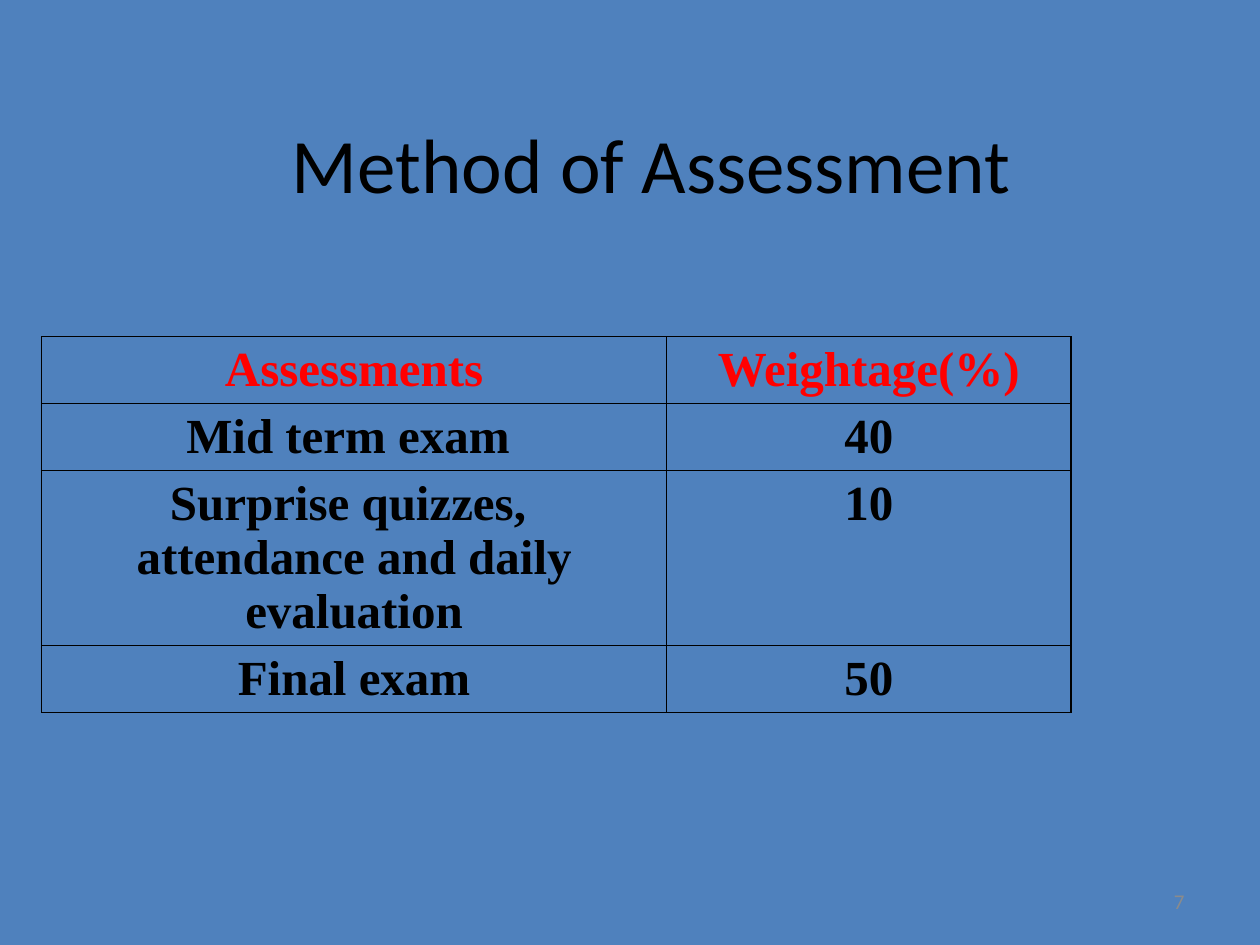
from lxml import etree
from pptx import Presentation
from pptx.dml.color import RGBColor
from pptx.enum.text import MSO_ANCHOR as Anchor, PP_ALIGN as Align
from pptx.oxml.ns import qn
from pptx.util import Inches, Pt

BLUE, BLACK, RED, GREY = "4F81BD", "000000", "FF0000", "8B8B8B"
THIN, THICK = 0.34, 0.75

ASSESSMENTS = [
    ("Assessments", "Weightage(%)"),
    ("Mid term exam ", "40"),
    ("Surprise quizzes, \vattendance and daily evaluation", "10"),
    ("Final exam", "50"),
]
COLUMN_WIDTHS = [4.96, 3.21]
ROW_HEIGHTS = [0.47, 0.47, 0.93, 0.47]


def rgb(value):
    return RGBColor.from_string(value)


def write(frame, text, align, color, **font_format):
    frame.text = text
    paragraph = frame.paragraphs[0]
    paragraph.alignment = align
    for run in paragraph.runs:
        run.font.color.rgb = rgb(color)
        for attribute, value in font_format.items():
            setattr(run.font, attribute, value)


def place(part, left, top, width, height):
    box = dict(left=left, top=top, width=width, height=height)
    for attribute, value in box.items():
        setattr(part, attribute, Inches(value))


def set_borders(cell, widths):
    """Draw black cell borders from a dict of side (L, R, T, B) to points."""
    properties = cell._tc.get_or_add_tcPr()
    for index, (side, width) in enumerate(widths.items()):
        line = etree.Element(qn(f"a:ln{side}"), w=str(int(Pt(width))))
        fill = etree.SubElement(line, qn("a:solidFill"))
        etree.SubElement(fill, qn("a:srgbClr"), val=BLACK)
        properties.insert(index, line)


def add_title(slide, left, top, width, height):
    title = slide.shapes.title
    place(title, left, top, width, height)
    title.text_frame.vertical_anchor = Anchor.MIDDLE
    write(title.text_frame, "Method of Assessment", Align.CENTER, BLACK,
          name="Calibri", size=Pt(44))


def add_assessment_table(slide, left, top):
    rows, columns = len(ROW_HEIGHTS), len(COLUMN_WIDTHS)
    table = slide.shapes.add_table(
        rows, columns, Inches(left), Inches(top),
        Inches(sum(COLUMN_WIDTHS)), Inches(sum(ROW_HEIGHTS))).table
    table.first_row = table.horz_banding = False
    for column, width in zip(table.columns, COLUMN_WIDTHS):
        column.width = Inches(width)
    for row, height in zip(table.rows, ROW_HEIGHTS):
        row.height = Inches(height)

    for r, texts in enumerate(ASSESSMENTS):
        for c, text in enumerate(texts):
            cell = table.cell(r, c)
            cell.fill.background()
            write(cell.text_frame, text, Align.CENTER, BLACK if r else RED,
                  name="Times New Roman", size=Pt(28), bold=True)
            set_borders(cell, {
                "L": THICK if c == 0 else THIN,
                "R": THICK if c == columns - 1 else THIN,
                "T": THIN,
                "B": THICK if r == rows - 1 else THIN,
            })


def add_page_number(slide, left, top, width, height):
    number = slide.shapes.add_textbox(0, 0, 0, 0)
    place(number, left, top, width, height)
    number.text_frame.word_wrap = True
    number.text_frame.vertical_anchor = Anchor.MIDDLE
    write(number.text_frame, "7", Align.RIGHT, GREY, name="Calibri", size=Pt(12))


def main():
    prs = Presentation()
    prs.slide_width, prs.slide_height = Inches(10), Inches(7.5)
    slide = prs.slides.add_slide(prs.slide_layouts.get_by_name("Title Only"))
    background = slide.background.fill
    background.solid()
    background.fore_color.rgb = rgb(BLUE)

    add_title(slide, 0.75, 0.67, 8.84, 1.25)
    add_assessment_table(slide, 0.33, 2.67)
    add_page_number(slide, 7.17, 6.95, 2.33, 0.4)
    prs.save("out.pptx")


if __name__ == "__main__":
    main()
